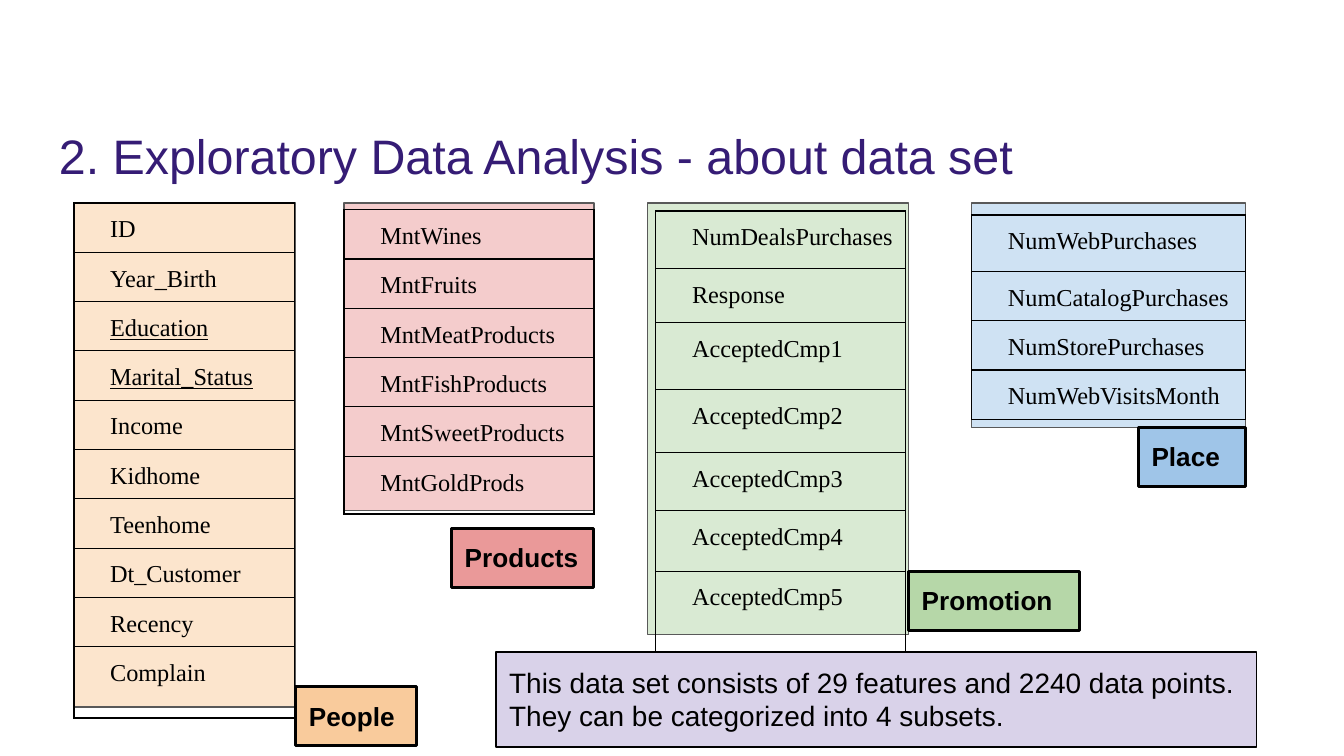
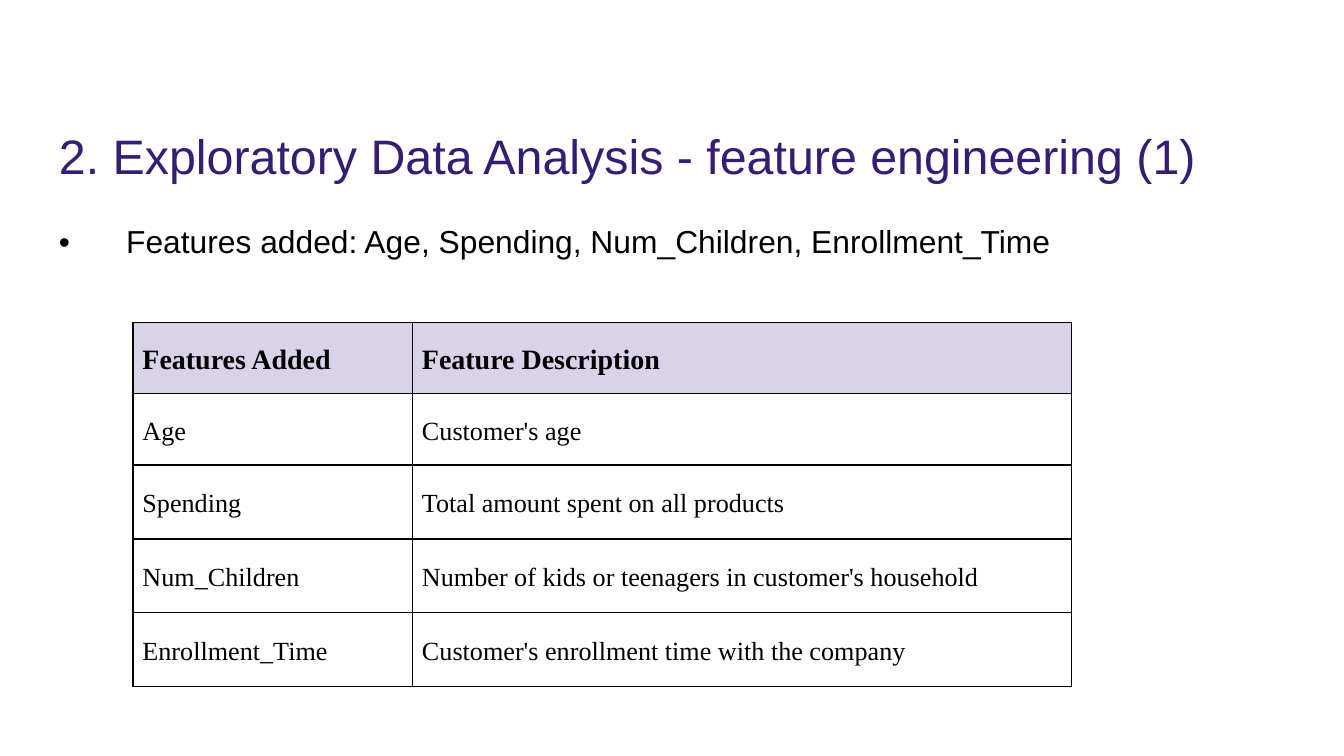
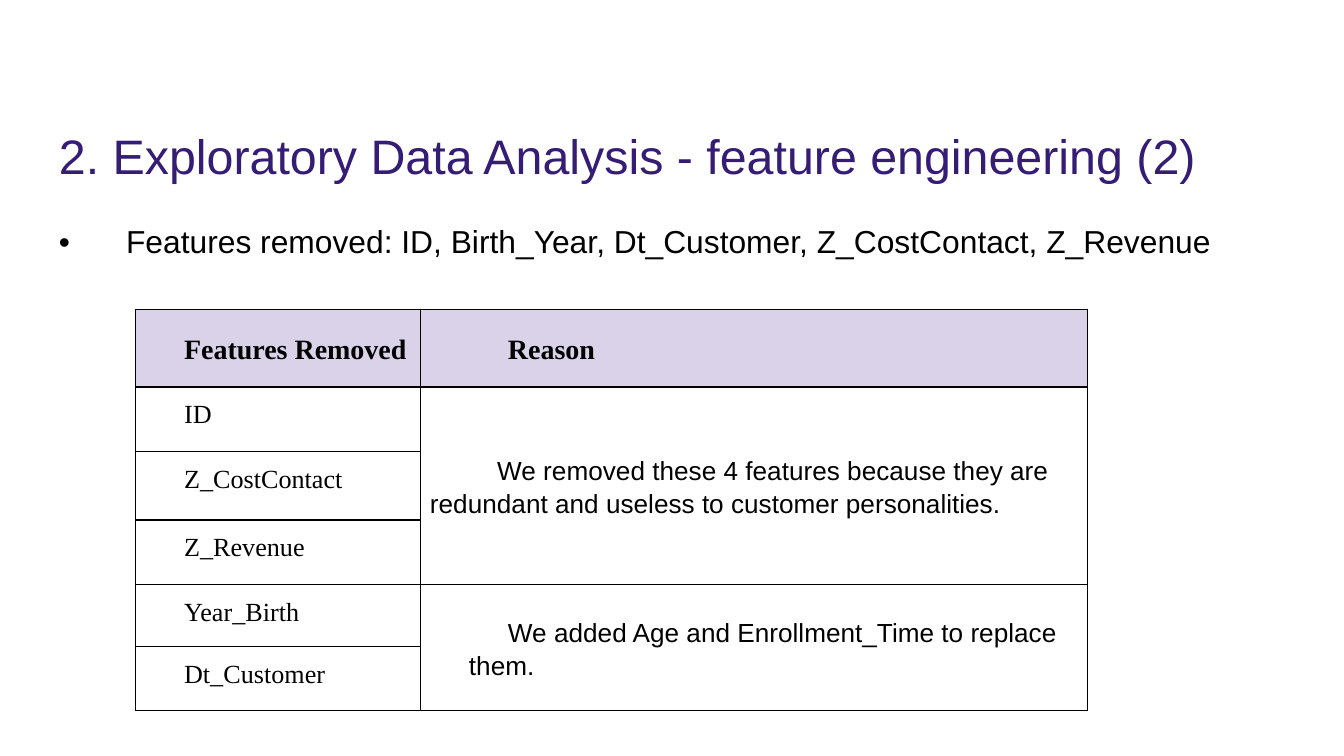
from dataclasses import dataclass, replace

import lxml.etree
import pptx
import pptx.dml.color
import pptx.enum.shapes
import pptx.enum.text
import pptx.oxml.ns
import pptx.util


@dataclass(frozen=True)
class Theme:
    sans: str = "Arial"
    serif: str = "Times New Roman"
    ink: str = "000000"
    heading: str = "351C75"
    paper: str = "FFFFFF"
    accent: str = "D9D2E9"
    panel_line: str = "595959"
    title_size: float = 25.9
    body_size: float = 17
    header_size: float = 15
    cell_size: float = 14
    feature_size: float = 13
    label_size: float = 14
    thin: float = 0.75
    thick: float = 1.5
    spacing: float = 1.15
    box_margin: float = 1
    cell_margin: float = 0.7
    tight_margin: float = 0.3


THEME = Theme()
TOP = pptx.enum.text.MSO_ANCHOR.TOP
MIDDLE = pptx.enum.text.MSO_ANCHOR.MIDDLE
SLIDE_WIDTH = pptx.util.Inches(10)
SLIDE_HEIGHT = pptx.util.Inches(5.625)
GRID_COLUMNS = 100
CONTENT_LEFT = 3.4
CONTENT_TOP = 15.1
CONTENT_WIDTH = 93.2
LABEL_HEIGHT = 4.4
FEATURE_ROW = 3.67


@dataclass(frozen=True)
class Style:
    size: float
    font: str = THEME.sans
    color: str = THEME.ink
    bold: bool = False
    underline: bool = False
    spacing: float = 1
    margin_left: float = 0
    first_indent: float = 0
    tab_stop: float = 0


@dataclass(frozen=True)
class Cell:
    text: str
    style: Style
    fill: str | None = None
    anchor: object = MIDDLE
    margin_bottom: float = THEME.cell_margin


@dataclass(frozen=True)
class Subset:
    label: str
    left: float
    width: float
    height: float
    tint: str
    label_tint: str
    label_top: float
    label_width: float
    label_outside: bool
    table_left: float
    table_top: float
    table_width: float
    row_heights: list
    features: list


FEATURE = Style(THEME.feature_size, THEME.serif, spacing=THEME.spacing, first_indent=2)
HEADER = Style(THEME.header_size, THEME.serif, bold=True, spacing=THEME.spacing)
ENTRY = Style(THEME.cell_size, THEME.serif, spacing=THEME.spacing)

SUBSETS = [
    Subset("People", 5.5, 16.5, 37.5, "FCE5CD", "F9CB9C", 51.1, 9, True,
           5.5, 15.1, 16.4, [FEATURE_ROW] * 9 + [5.3],
           ["ID", "Year_Birth", "Education", "Marital_Status", "Income", "Kidhome",
            "Teenhome", "Dt_Customer", "Recency", "Complain"]),
    Subset("Products", 25.6, 18.6, 22.9, "F4CCCC", "EA9999", 39.3, 10.6, False,
           25.6, 15.6, 18.6, [FEATURE_ROW] * 5 + [4.3],
           ["MntWines", "MntFruits", "MntMeatProducts", "MntFishProducts",
            "MntSweetProducts", "MntGoldProds"]),
    Subset("Promotion", 48.2, 19.4, 32.1, "D9EAD3", "B6D7A8", 42.5, 12.7, True,
           48.8, 15.7, 18.6, [4.3, 4, 5, 4.7, 4.3, 4.5, 6.4],
           ["NumDealsPurchases", "Response"] + [f"AcceptedCmp{n}" for n in range(1, 6)]),
    Subset("Place", 72.3, 20.4, 16.7, "CFE2F3", "9FC5E8", 31.8, 8, False,
           72.3, 16, 20.4, [4.2] + [FEATURE_ROW] * 3,
           ["NumWebPurchases", "NumCatalogPurchases", "NumStorePurchases",
            "NumWebVisitsMonth"]),
]
CATEGORICAL = {"Education", "Marital_Status"}

ADDED_FEATURES = [
    ("Age", "Customer's age"),
    ("Spending", "Total amount spent on all products"),
    ("Num_Children", "Number of kids or teenagers in customer's household"),
    ("Enrollment_Time", "Customer's enrollment time with the company"),
]
REMOVED_FEATURES = ["ID", "Z_CostContact", "Z_Revenue", "Year_Birth", "Dt_Customer"]


def grid(units):
    return pptx.util.Emu(round(SLIDE_WIDTH * units / GRID_COLUMNS))


def rgb(color):
    return pptx.dml.color.RGBColor.from_string(color)


def add_element(parent, tag, **attributes):
    element = lxml.etree.SubElement(parent, pptx.oxml.ns.qn(f"a:{tag}"))
    for name, value in attributes.items():
        element.set(name, str(value))
    return element


def set_margins(target, units):
    for side in ("left", "top", "right", "bottom"):
        setattr(target, f"margin_{side}", grid(units))


def write(text_frame, text, style):
    paragraph = text_frame.paragraphs[0]
    paragraph.text = text
    paragraph.alignment = pptx.enum.text.PP_ALIGN.LEFT
    paragraph.line_spacing = style.spacing
    properties = paragraph._p.get_or_add_pPr()
    properties.set("marL", str(grid(style.margin_left)))
    properties.set("indent", str(grid(style.first_indent)))
    if style.tab_stop:
        add_element(add_element(properties, "tabLst"), "tab",
                    pos=grid(style.tab_stop), algn="l")
    font = paragraph.font
    font.name = style.font
    font.size = pptx.util.Pt(style.size)
    font.bold = style.bold
    font.underline = style.underline
    font.color.rgb = rgb(style.color)


def fill_frame(shape, text, style):
    frame = shape.text_frame
    frame.word_wrap = True
    frame.vertical_anchor = TOP
    set_margins(frame, THEME.box_margin)
    write(frame, text, style)


def add_text(slide, left, top, width, height, text, style):
    box = slide.shapes.add_textbox(*map(grid, (left, top, width, height)))
    fill_frame(box, text, style)


def add_rectangle(slide, left, top, width, height, fill, line, weight):
    shape = slide.shapes.add_shape(
        pptx.enum.shapes.MSO_SHAPE.RECTANGLE, *map(grid, (left, top, width, height)))
    shape.shadow.inherit = False
    shape.fill.solid()
    shape.fill.fore_color.rgb = rgb(fill)
    shape.line.color.rgb = rgb(line)
    shape.line.width = pptx.util.Pt(weight)
    return shape


def draw_borders(cell):
    properties = cell._tc.get_or_add_tcPr()
    for side in ("lnL", "lnR", "lnT", "lnB"):
        line = add_element(properties, side, w=pptx.util.Pt(THEME.thin))
        add_element(add_element(line, "solidFill"), "srgbClr", val=THEME.ink)


def style_cell(cell, content):
    draw_borders(cell)
    if content is None or content.fill is None:
        cell.fill.background()
    else:
        cell.fill.solid()
        cell.fill.fore_color.rgb = rgb(content.fill)
    if content is not None:
        set_margins(cell, THEME.cell_margin)
        cell.margin_bottom = grid(content.margin_bottom)
        cell.vertical_anchor = content.anchor
        write(cell.text_frame, content.text, content.style)


def add_table(slide, left, top, column_widths, row_heights, contents, merges=()):
    table = slide.shapes.add_table(
        len(row_heights), len(column_widths), grid(left), grid(top),
        grid(sum(column_widths)), grid(sum(row_heights))).table
    table.first_row = False
    table.horz_banding = False
    for column, width in zip(table.columns, column_widths):
        column.width = grid(width)
    for row, height in zip(table.rows, row_heights):
        row.height = grid(height)
    for row, row_contents in zip(table.rows, contents):
        for cell, content in zip(row.cells, row_contents):
            style_cell(cell, content)
    for column, first, last in merges:
        table.cell(first, column).merge(table.cell(last, column))


def add_titled_slide(presentation, title):
    slide = presentation.slides.add_slide(presentation.slide_layouts[6])
    add_text(slide, CONTENT_LEFT, 8.4, CONTENT_WIDTH, 5.8,
             f"2. Exploratory Data Analysis - {title}",
             Style(THEME.title_size, color=THEME.heading))
    return slide


def add_bullet(slide, width, text):
    add_text(slide, CONTENT_LEFT, CONTENT_TOP, width, 34.8, f"•\t{text}",
             Style(THEME.body_size, spacing=THEME.spacing, tab_stop=10))


def add_subset(slide, subset):
    add_rectangle(slide, subset.left, CONTENT_TOP, subset.width, subset.height,
                  subset.tint, THEME.panel_line, THEME.thin)
    contents = [[Cell(name, replace(FEATURE, underline=name in CATEGORICAL),
                      anchor=TOP, margin_bottom=THEME.tight_margin)]
                for name in subset.features]
    add_table(slide, subset.table_left, subset.table_top, [subset.table_width],
              subset.row_heights, contents)
    right = subset.left + subset.width
    label_left = right if subset.label_outside else right - subset.label_width
    label = add_rectangle(slide, label_left, subset.label_top, subset.label_width,
                          LABEL_HEIGHT, subset.label_tint, THEME.ink, THEME.thick)
    fill_frame(label, subset.label, Style(THEME.label_size, bold=True))


def build_data_set(presentation):
    slide = add_titled_slide(presentation, "about data set")
    for subset in SUBSETS:
        add_subset(slide, subset)
    summary = add_rectangle(slide, 36.9, 48.5, 56.6, 7.1,
                            THEME.accent, THEME.ink, THEME.thin)
    fill_frame(summary, "This data set consists of 29 features and 2240 data points. "
               "They can be categorized into 4 subsets.", Style(THEME.header_size))


def build_added_features(presentation):
    slide = add_titled_slide(presentation, "feature engineering (1)")
    names = ", ".join(name for name, _ in ADDED_FEATURES)
    add_bullet(slide, CONTENT_WIDTH, f"Features added: {names}")
    contents = [[Cell(text, HEADER, THEME.accent)
                 for text in ("Features Added", "Feature Description")]]
    contents += [[Cell(text, ENTRY, THEME.paper) for text in row]
                 for row in ADDED_FEATURES]
    add_table(slide, 9.9, 24, [20.8, 49], [5.3] * 2 + [5.5] * 3, contents)


def build_removed_features(presentation):
    slide = add_titled_slide(presentation, "feature engineering (2)")
    add_bullet(slide, 89.3, "Features removed: ID, Birth_Year, Dt_Customer, "
               "Z_CostContact, Z_Revenue")
    name_indent = {"margin_left": 1.9, "first_indent": 1}
    reason_indent = {"margin_left": 2.9, "first_indent": 2.9}
    reason = replace(ENTRY, font=THEME.sans)
    reasons = {
        "ID": Cell("We removed these 4 features because they are redundant and "
                   "useless to customer personalities.",
                   replace(reason, first_indent=5), THEME.paper),
        "Year_Birth": Cell("We added Age and Enrollment_Time to replace them.",
                           replace(reason, **reason_indent), THEME.paper),
    }
    contents = [[Cell("Features Removed", replace(HEADER, **name_indent), THEME.accent),
                 Cell("Reason", replace(HEADER, **reason_indent), THEME.accent)]]
    contents += [[Cell(name, replace(ENTRY, **name_indent), THEME.paper, TOP),
                  reasons.get(name)] for name in REMOVED_FEATURES]
    add_table(slide, 10.1, 23, [21.2, 49.6], [5.8, 4.8, 5.1, 4.8, 4.6, 4.8],
              contents, merges=[(1, 1, 3), (1, 4, 5)])


def main():
    presentation = pptx.Presentation()
    presentation.slide_width = SLIDE_WIDTH
    presentation.slide_height = SLIDE_HEIGHT
    build_data_set(presentation)
    build_added_features(presentation)
    build_removed_features(presentation)
    presentation.save("out.pptx")


if __name__ == "__main__":
    main()
